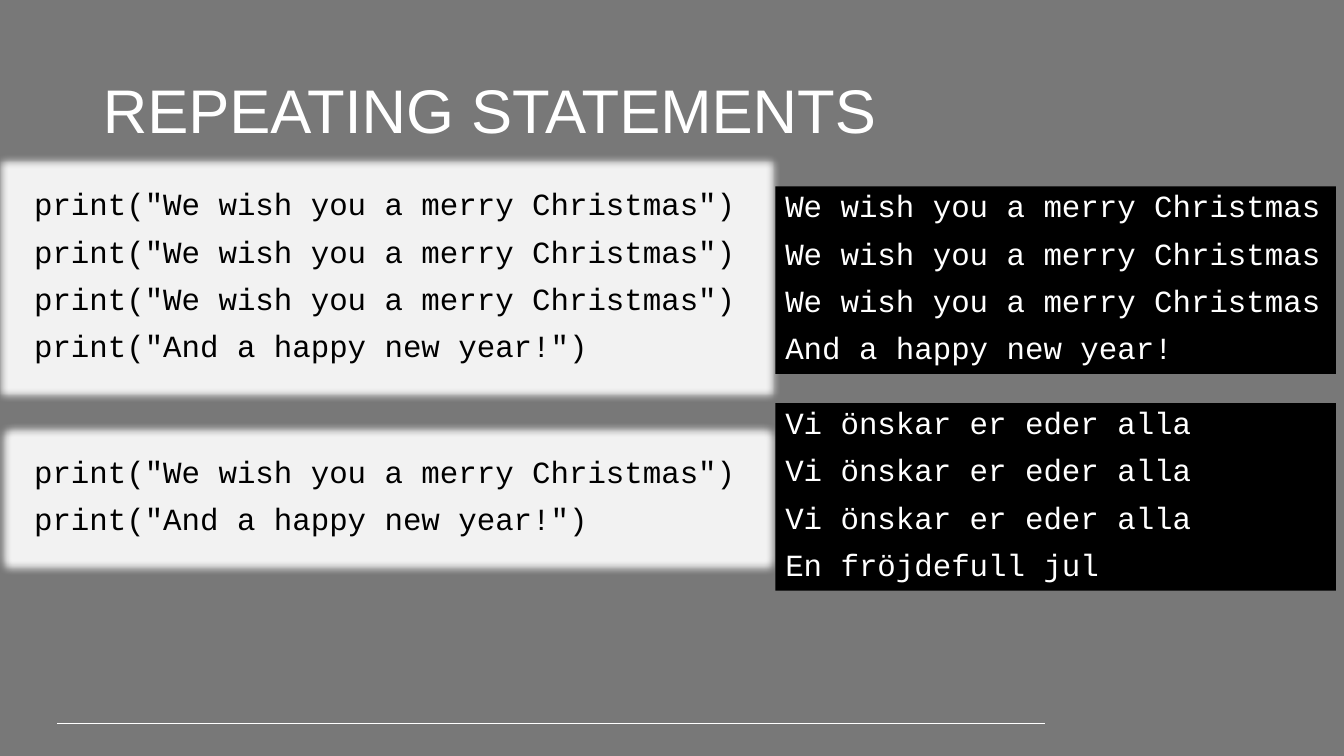
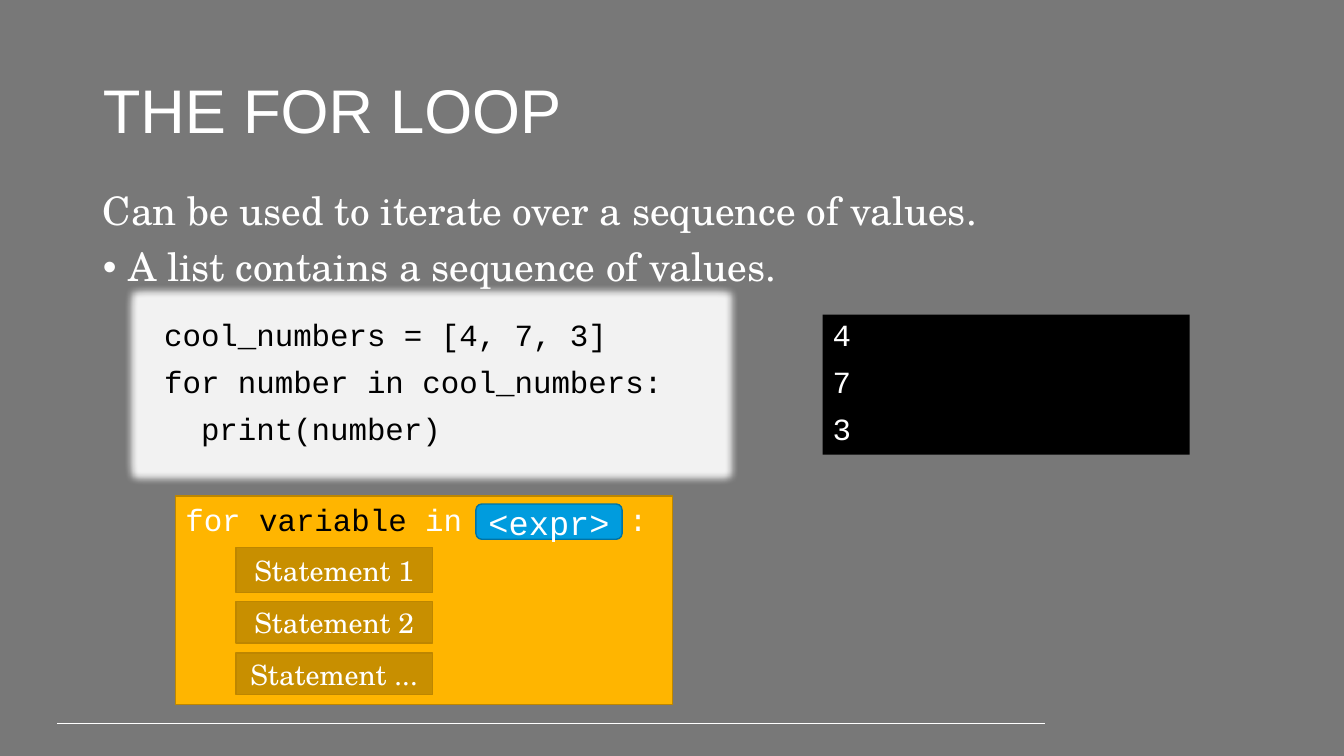
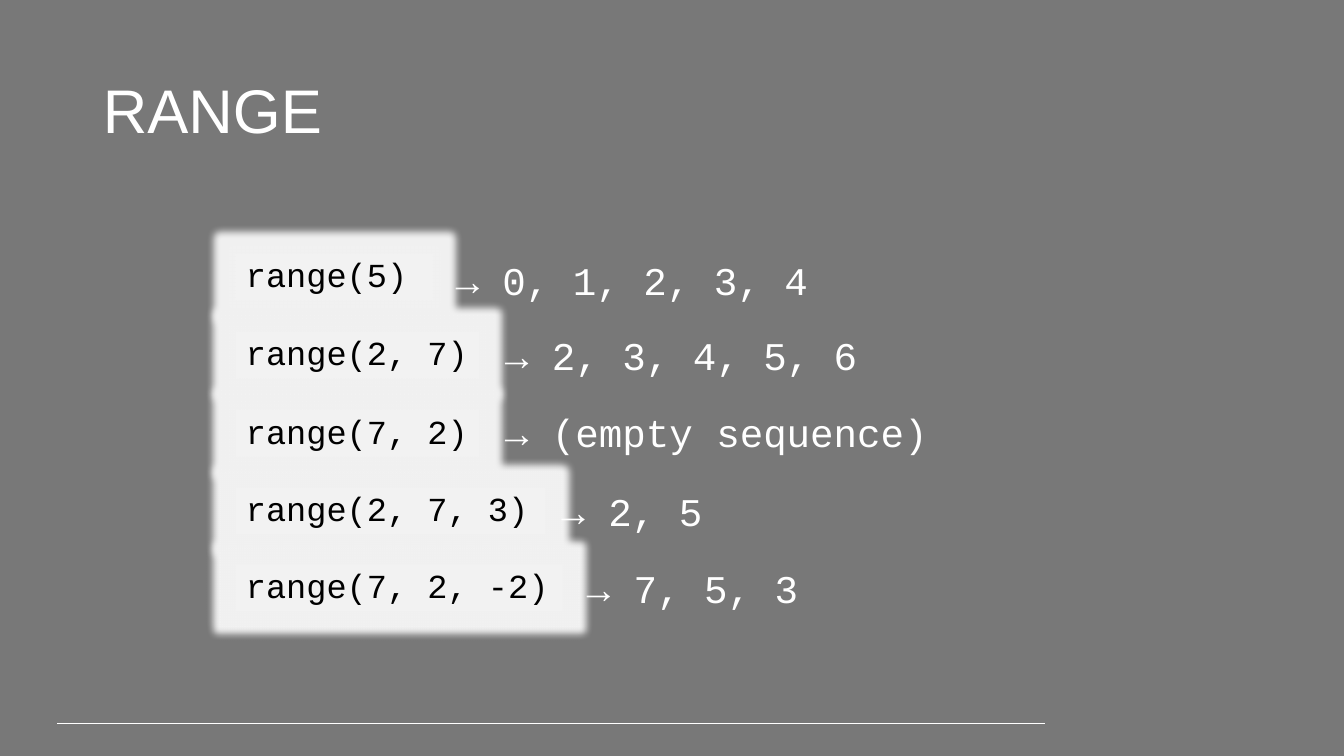
"""Build three slides on repetition, the for loop and range."""
from dataclasses import dataclass
from typing import Optional

import pptx
import pptx.dml.color
import pptx.enum.shapes
import pptx.enum.text
import pptx.oxml
import pptx.oxml.ns
import pptx.util
from lxml import etree

Inches = pptx.util.Inches
Pt = pptx.util.Pt
qn = pptx.oxml.ns.qn
Align = pptx.enum.text.PP_ALIGN
Anchor = pptx.enum.text.MSO_ANCHOR
AutoSize = pptx.enum.text.MSO_AUTO_SIZE
Preset = pptx.enum.shapes.MSO_SHAPE

COLOURS = {
    "background": "787878",
    "white": "FFFFFF",
    "black": "000000",
    "code": "F2F2F2",
    "loop": "FFB500",
    "statement": "C88F00",
    "loop edge": "BD8600",
    "expression": "009CDE",
    "expression edge": "0073A4",
}
TITLE_FONT, BODY_FONT, CODE_FONT = "Arial", "TeX Gyre Schola", "Courier New"
GLOW_RADIUS = Pt(11)


@dataclass(frozen=True)
class Box:
    left: float
    top: float
    width: float
    height: float

    def lengths(self) -> tuple:
        return tuple(map(Inches, (self.left, self.top, self.width, self.height)))


@dataclass(frozen=True)
class TextStyle:
    font: str
    size: int
    colour: str = "white"
    align: Align = Align.LEFT
    anchor: Anchor = Anchor.TOP
    line_spacing: float = 1.0
    space_before: int = 0
    grow: bool = False


@dataclass(frozen=True)
class BlockStyle:
    text: TextStyle
    fill: str
    edge: Optional[str] = None
    preset: Preset = Preset.RECTANGLE
    glow: bool = False


@dataclass(frozen=True)
class RangeExample:
    call: str
    result: str
    top: float
    width: float
    result_left: float
    result_top: float
    result_width: float


def code_text(size: int, colour: str) -> TextStyle:
    return TextStyle(CODE_FONT, size, colour, line_spacing=0.9, space_before=10, grow=True)


TITLE = TextStyle(TITLE_FONT, 44, anchor=Anchor.MIDDLE, line_spacing=0.9)
BODY = TextStyle(BODY_FONT, 28, line_spacing=0.9, space_before=10, grow=True)
RESULT = TextStyle(CODE_FONT, 28, grow=True)
CODE = BlockStyle(code_text(22, "black"), "code", glow=True)
CALL = BlockStyle(code_text(24, "black"), "code", glow=True)
CONSOLE = BlockStyle(code_text(22, "white"), "black")
LOOP = BlockStyle(TextStyle(CODE_FONT, 22), "loop", "loop edge")
EXPRESSION = BlockStyle(
    TextStyle(CODE_FONT, 24, align=Align.CENTER, anchor=Anchor.MIDDLE),
    "expression", "expression edge", Preset.ROUNDED_RECTANGLE)
STATEMENT = BlockStyle(
    TextStyle(BODY_FONT, 20, align=Align.CENTER, anchor=Anchor.MIDDLE),
    "statement", "loop edge")

RANGE_EXAMPLES = (
    RangeExample("range(5)", "0, 1, 2, 3, 4", 2.52, 1.95, 4.42, 2.49, 4.24),
    RangeExample("range(2, 7)", "2, 3, 4, 5, 6", 3.29, 2.41, 4.91, 3.24, 4.24),
    RangeExample("range(2, 7, 3)", "2, 5", 4.84, 3.07, 5.47, 4.79, 4.24),
    RangeExample("range(7, 2)", "(empty sequence)", 4.07, 2.41, 4.91, 4.0, 5.16),
    RangeExample("range(7, 2, -2)", "7, 5, 3", 5.6, 3.24, 5.72, 5.55, 5.16),
)


def rgb(name: str) -> pptx.dml.color.RGBColor:
    return pptx.dml.color.RGBColor.from_string(COLOURS[name])


def style_run(run, style: TextStyle, colour: str) -> None:
    run.font.name = style.font
    run.font.size = Pt(style.size)
    run.font.color.rgb = rgb(colour)


def write(frame, lines: list[str], style: TextStyle) -> None:
    frame.text = "\n".join(lines)
    frame.word_wrap = True
    frame.vertical_anchor = style.anchor
    frame.auto_size = AutoSize.SHAPE_TO_FIT_TEXT if style.grow else AutoSize.NONE
    for index, paragraph in enumerate(frame.paragraphs):
        paragraph.alignment = style.align
        paragraph.line_spacing = style.line_spacing
        paragraph.space_before = Pt(style.space_before if index else 0)
        for run in paragraph.runs:
            style_run(run, style, style.colour)


def place(shape, box: Box) -> None:
    shape.left, shape.top, shape.width, shape.height = box.lengths()


def add_glow(shape, colour: str) -> None:
    effects = shape.element.find(".//" + qn("a:effectLst"))
    glow = etree.SubElement(effects, qn("a:glow"), rad=str(GLOW_RADIUS))
    etree.SubElement(glow, qn("a:srgbClr"), val=COLOURS[colour])


def add_block(slide, box: Box, lines: list[str], style: BlockStyle):
    block = slide.shapes.add_shape(style.preset, *box.lengths())
    block.shadow.inherit = False
    block.fill.solid()
    block.fill.fore_color.rgb = rgb(style.fill)
    if style.edge:
        block.line.color.rgb = rgb(style.edge)
        block.line.width = Pt(1)
    else:
        block.line.fill.background()
    if style.glow:
        add_glow(block, style.fill)
    write(block.text_frame, lines, style.text)
    return block


def add_titled_slide(deck, title: str, layout: int = 5):
    slide = deck.slides.add_slide(deck.slide_layouts[layout])
    place(slide.shapes.title, Box(0.92, 0.4, 11.5, 1.45))
    write(slide.shapes.title.text_frame, [title], TITLE)
    return slide


def add_footer_rule(deck, slide) -> None:
    rule = slide.shapes.add_connector(
        pptx.enum.shapes.MSO_CONNECTOR.STRAIGHT,
        Inches(0.57), Inches(7.18), Inches(10.36), Inches(7.18))
    rule.line.color.rgb = rgb("white")
    rule.line.width = Pt(0.75)
    etree.SubElement(rule.element.find(qn("p:spPr")), qn("a:effectLst"))
    deck.slide_master.shapes.element.append(rule.element)


def set_bullet(paragraph, symbol: Optional[str]) -> None:
    properties = paragraph._p.get_or_add_pPr()
    indent = Inches(0.25) if symbol else 0
    properties.set("marL", str(indent))
    properties.set("indent", str(-indent))
    if symbol:
        etree.SubElement(properties, qn("a:buFont"), typeface="Arial")
        etree.SubElement(properties, qn("a:buChar"), char=symbol)
    else:
        etree.SubElement(properties, qn("a:buNone"))


def add_loop_diagram(slide) -> None:
    loop = add_block(slide, Box(1.74, 4.92, 4.93, 2.07), ["for "], LOOP)
    header = loop.text_frame.paragraphs[0]
    tabs = etree.SubElement(header._p.get_or_add_pPr(), qn("a:tabLst"))
    etree.SubElement(tabs, qn("a:tab"), pos=str(Inches(4.4)), algn="l")
    for words, colour in (("variable", "black"), (" in\t:", "white")):
        run = header.add_run()
        run.text = words
        style_run(run, LOOP.text, colour)
    add_block(slide, Box(4.72, 5, 1.45, 0.35), ["<expr>"], EXPRESSION)
    for label, top, height in (("1", 5.43, 0.45), ("2", 5.97, 0.41), ("...", 6.48, 0.41)):
        add_block(slide, Box(2.34, top, 1.95, height), [f"Statement {label}"], STATEMENT)


def build_repeating(deck) -> None:
    slide = add_titled_slide(deck, "REPEATING STATEMENTS")
    add_footer_rule(deck, slide)
    wish, new_year = "We wish you a merry Christmas", "And a happy new year!"
    english = [wish] * 3 + [new_year]
    swedish = ["Vi önskar er eder alla"] * 3 + ["En fröjdefull jul"]
    for lines, code_top, code_height, output, output_top in (
        (english, 1.83, 1.86, english, 1.85),
        ([wish, new_year], 4.48, 0.92, swedish, 4),
    ):
        code = [f'print("{line}")' for line in lines]
        add_block(slide, Box(0.24, code_top, 7.2, code_height), code, CODE)
        add_block(slide, Box(7.69, output_top, 5.56, 1.86), output, CONSOLE)


def build_for_loop(deck) -> None:
    slide = add_titled_slide(deck, "THE FOR LOOP", layout=1)
    body = slide.placeholders[1]
    place(body, Box(0.92, 1.85, 11.5, 1.09))
    write(body.text_frame, ["Can be used to iterate over a sequence of values.",
                            "A list contains a sequence of values."], BODY)
    for paragraph, symbol in zip(body.text_frame.paragraphs, (None, "•")):
        set_bullet(paragraph, symbol)
    add_block(slide, Box(1.53, 3.12, 5.5, 1.39),
              ["cool_numbers = [4, 7, 3]", "for number in cool_numbers:", "  print(number)"], CODE)
    add_block(slide, Box(8.16, 3.12, 3.64, 1.39), ["4", "7", "3"], CONSOLE)
    add_loop_diagram(slide)


def build_range(deck) -> None:
    slide = add_titled_slide(deck, "RANGE")
    for example in RANGE_EXAMPLES:
        add_block(slide, Box(2.34, example.top, example.width, 0.46), [example.call], CALL)
        result_box = Box(example.result_left, example.result_top, example.result_width, 0.57)
        result = slide.shapes.add_textbox(*result_box.lengths())
        write(result.text_frame, [f"→ {example.result}"], RESULT)


def main() -> None:
    deck = pptx.Presentation()
    deck.slide_width, deck.slide_height = Inches(13.33), Inches(7.5)
    backdrop = deck.slide_master.background.fill
    backdrop.solid()
    backdrop.fore_color.rgb = rgb("background")
    build_repeating(deck)
    build_for_loop(deck)
    build_range(deck)
    deck.save("out.pptx")


if __name__ == "__main__":
    main()
